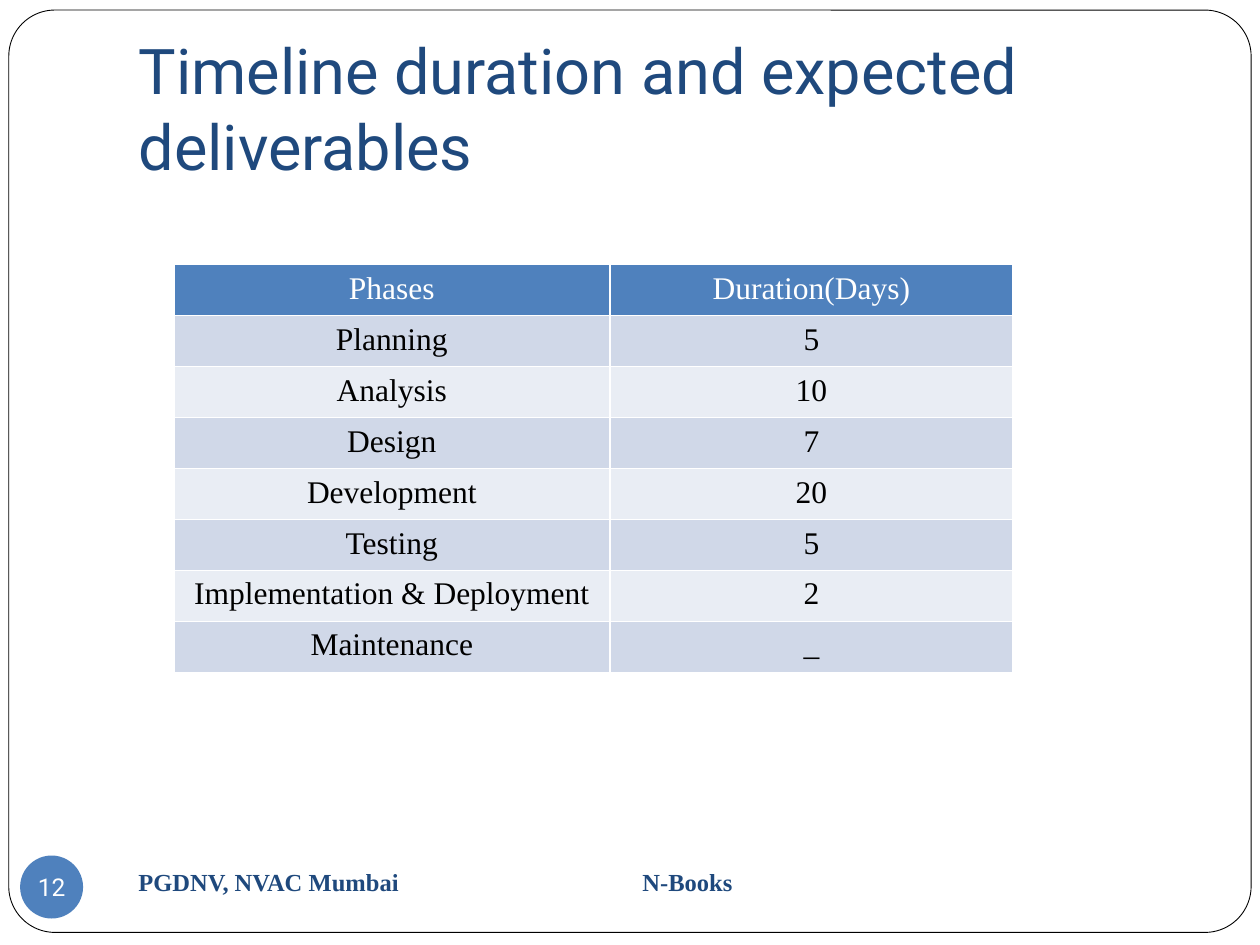
"""Build a slide with the project phases and their durations."""
from dataclasses import dataclass

import lxml.etree
import pptx
import pptx.dml.color
import pptx.enum.shapes
import pptx.enum.text
import pptx.oxml
import pptx.oxml.ns
import pptx.util

Inches = pptx.util.Inches
Pt = pptx.util.Pt
Align = pptx.enum.text.PP_ALIGN
Anchor = pptx.enum.text.MSO_ANCHOR
Shape = pptx.enum.shapes.MSO_SHAPE


@dataclass(frozen=True)
class Theme:
    """Hold the colours, fonts and type sizes of the slide."""
    navy: str = "1F497D"
    blue: str = "4F81BD"
    white: str = "FFFFFF"
    black: str = "000000"
    bands: tuple = ("D0D8E8", "E9EDF4")
    heading_font: str = "Roboto"
    body_font: str = "Times New Roman"
    title_size: int = 36
    table_size: int = 18
    small_size: int = 14


THEME = Theme()
PHASES = [
    ("Phases", "Duration(Days)"),
    ("Planning", "5"),
    ("Analysis", "10"),
    ("Design", "7"),
    ("Development", "20"),
    ("Testing", "5"),
    ("Implementation & Deployment", "2"),
    ("Maintenance", "_"),
]


def rgb(value):
    """Return the colour object for a hex string."""
    return pptx.dml.color.RGBColor.from_string(value)


def box(left, top, width, height):
    """Return a position and size in inches as lengths."""
    return [Inches(value) for value in (left, top, width, height)]


def write(frame, text, font, size, color, align=Align.LEFT, bold=False):
    """Write one formatted run and return its paragraph."""
    paragraph = frame.paragraphs[0]
    paragraph.alignment = align
    run = paragraph.add_run()
    run.text = text
    run.font.name = font
    run.font.size = Pt(size)
    run.font.bold = bold
    run.font.color.rgb = rgb(color)
    return paragraph


def set_margins(frame, left, top, right, bottom):
    """Set the four text margins in inches."""
    frame.margin_left, frame.margin_top = Inches(left), Inches(top)
    frame.margin_right, frame.margin_bottom = Inches(right), Inches(bottom)


def add_filled_shape(slide, kind, place, fill, line=None):
    """Add a flat shape with an optional thin outline."""
    shape = slide.shapes.add_shape(kind, *box(*place))
    shape.shadow.inherit = False
    shape.fill.solid()
    shape.fill.fore_color.rgb = rgb(fill)
    if line:
        shape.line.color.rgb = rgb(line)
        shape.line.width = Pt(0.5)
    else:
        shape.line.fill.background()
    return shape


def add_frame(slide):
    """Add the rounded outline around the slide."""
    frame = add_filled_shape(slide, Shape.ROUNDED_RECTANGLE, (0.07, 0.08, 9.86, 7.32),
                             THEME.white, THEME.black)
    frame.adjustments[0] = 0.05
    tree = slide.shapes.element
    tree.remove(frame.element)
    tree.insert(2, frame.element)


def set_title(slide, text):
    """Place and format the title placeholder."""
    title = slide.shapes.title
    title.left, title.top, title.width, title.height = box(1, 0.3, 8.5, 1.25)
    frame = title.text_frame
    frame.word_wrap = True
    frame.auto_size = pptx.enum.text.MSO_AUTO_SIZE.NONE
    frame.vertical_anchor = Anchor.BOTTOM
    set_margins(frame, 0.1, 0.05, 0.1, 0.1)
    write(frame, text, THEME.heading_font, THEME.title_size, THEME.navy)


def add_page_badge(slide, number):
    """Add the round page number."""
    badge = add_filled_shape(slide, Shape.OVAL, (0.16, 6.79, 0.5, 0.5), THEME.blue)
    frame = badge.text_frame
    frame.word_wrap = False
    frame.vertical_anchor = Anchor.MIDDLE
    set_margins(frame, 0, 0, 0, 0)
    write(frame, number, THEME.heading_font, THEME.small_size, THEME.white, Align.CENTER)


def add_footer(slide, left_text, right_text):
    """Add the footer, its second part set at a tab stop."""
    frame = slide.shapes.add_textbox(*box(1, 6.75, 6.28, 0.5)).text_frame
    frame.word_wrap = True
    frame.vertical_anchor = Anchor.MIDDLE
    paragraph = write(frame, f"{left_text}\t{right_text}", THEME.body_font,
                      THEME.small_size, THEME.navy, bold=True)
    qn = pptx.oxml.ns.qn
    properties = paragraph._p.get_or_add_pPr()
    stops = lxml.etree.SubElement(properties, qn("a:tabLst"))
    lxml.etree.SubElement(stops, qn("a:tab"), pos=str(Inches(4)), algn="l")


def set_borders(cell, color, width):
    """Draw all four borders of a cell."""
    qn = pptx.oxml.ns.qn
    properties = cell._tc.get_or_add_tcPr()
    for side in "LRTB":
        line = lxml.etree.SubElement(properties, qn(f"a:ln{side}"), w=str(Pt(width)))
        fill = lxml.etree.SubElement(line, qn("a:solidFill"))
        lxml.etree.SubElement(fill, qn("a:srgbClr"), val=color)


def add_phase_table(slide, rows):
    """Add the banded table of phases."""
    widths, row_height = (3.46, 3.2), 0.405
    place = box(1.38, 2.1, sum(widths), row_height * len(rows))
    table = slide.shapes.add_table(len(rows), len(widths), *place).table
    for column, width in zip(table.columns, widths):
        column.width = Inches(width)
    for row_index, texts in enumerate(rows):
        is_header = row_index == 0
        fill = THEME.blue if is_header else THEME.bands[(row_index - 1) % 2]
        color = THEME.white if is_header else THEME.black
        for column_index, text in enumerate(texts):
            cell = table.cell(row_index, column_index)
            set_borders(cell, THEME.white, 1)
            cell.fill.solid()
            cell.fill.fore_color.rgb = rgb(fill)
            write(cell.text_frame, text, THEME.body_font, THEME.table_size, color,
                  Align.CENTER)


def main():
    """Build and save the slide."""
    presentation = pptx.Presentation()
    presentation.slide_width, presentation.slide_height = Inches(10), Inches(7.5)
    slide = presentation.slides.add_slide(presentation.slide_layouts[5])
    add_frame(slide)
    set_title(slide, "Timeline duration and expected deliverables")
    add_page_badge(slide, "12")
    add_footer(slide, "PGDNV, NVAC Mumbai", "N-Books")
    add_phase_table(slide, PHASES)
    presentation.save("out.pptx")


main()
